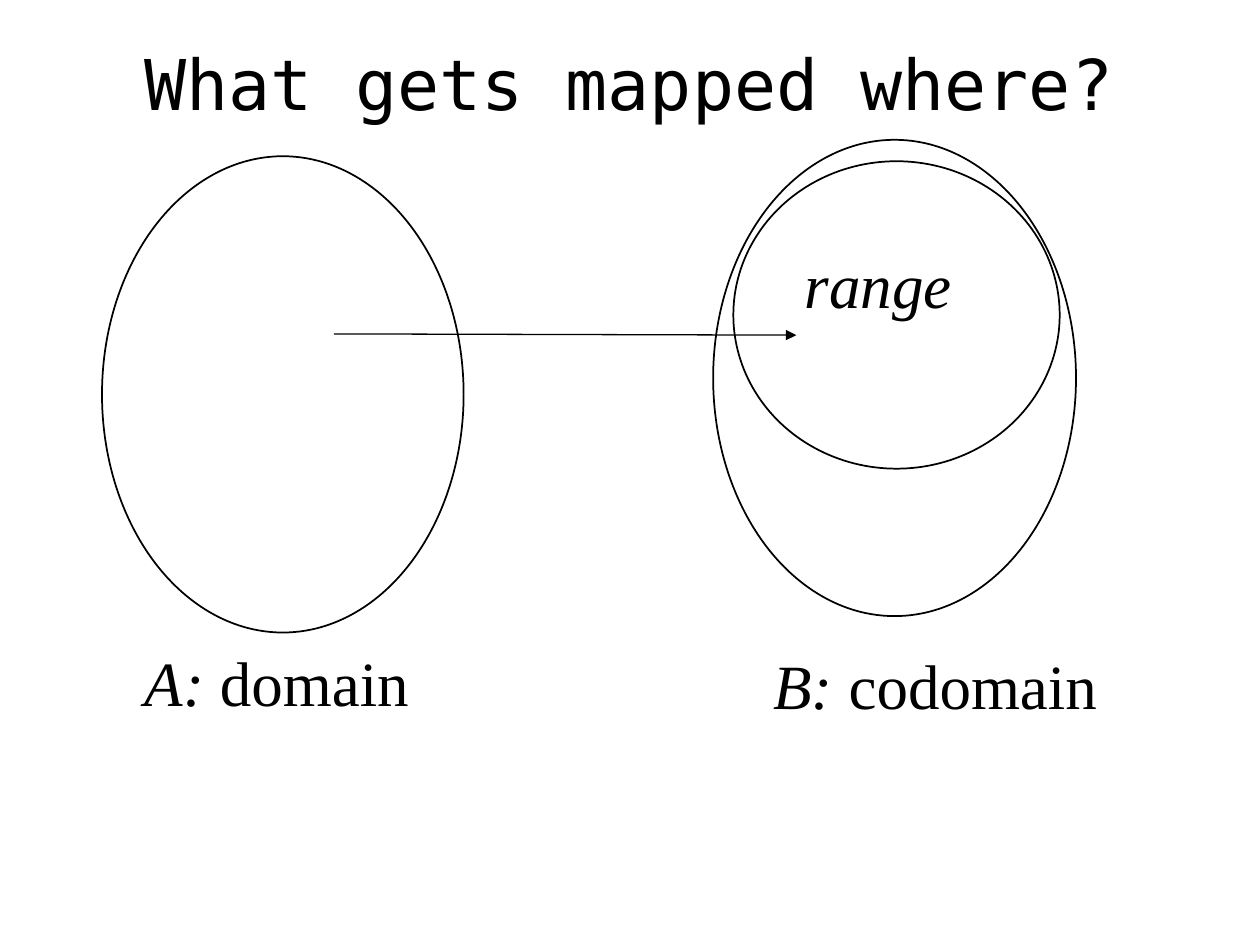
import pptx
import pptx.dml.color
import pptx.enum.shapes
import pptx.enum.text
import pptx.oxml
import pptx.oxml.ns
import pptx.util
from pptx.util import Inches

BLACK = pptx.dml.color.RGBColor(0x00, 0x00, 0x00)
TITLE_FONT = "DejaVu Sans Mono"
LABEL_FONT = "Times New Roman"


def add_run(paragraph, text, font_name, size, italic=False):
    run = paragraph.add_run()
    run.text = text
    run.font.name = font_name
    run.font.size = pptx.util.Pt(size)
    run.font.italic = italic
    run.font.color.rgb = BLACK


def set_title(slide, text):
    title = slide.shapes.title
    title.left, title.top = Inches(0.74), Inches(0.18)
    title.width, title.height = Inches(8.5), Inches(0.95)
    title.text_frame.vertical_anchor = pptx.enum.text.MSO_ANCHOR.MIDDLE
    paragraph = title.text_frame.paragraphs[0]
    paragraph.alignment = pptx.enum.text.PP_ALIGN.CENTER
    add_run(paragraph, text, TITLE_FONT, 40)


def add_set(slide, left, top, width, height):
    ellipse = slide.shapes.add_shape(
        pptx.enum.shapes.MSO_SHAPE.OVAL,
        Inches(left), Inches(top), Inches(width), Inches(height),
    )
    ellipse.shadow.inherit = False
    ellipse.fill.background()
    ellipse.line.color.rgb = BLACK
    ellipse.line.width = pptx.util.Pt(1)


def add_mapping_arrow(slide, start_x, start_y, end_x, end_y):
    arrow = slide.shapes.add_connector(
        pptx.enum.shapes.MSO_CONNECTOR.STRAIGHT,
        Inches(start_x), Inches(start_y), Inches(end_x), Inches(end_y),
    )
    arrow.line.color.rgb = BLACK
    arrow.line.width = pptx.util.Pt(0.75)
    namespace = pptx.oxml.ns.nsdecls("a")
    arrow.line._get_or_add_ln().append(
        pptx.oxml.parse_xml(f'<a:tailEnd {namespace} type="triangle"/>')
    )
    arrow._element.spPr.append(pptx.oxml.parse_xml(f"<a:effectLst {namespace}/>"))


def add_label(slide, left, top, width, symbol, description=""):
    label = slide.shapes.add_textbox(
        Inches(left), Inches(top), Inches(width), Inches(0.71)
    )
    frame = label.text_frame
    frame.word_wrap = False
    frame.auto_size = pptx.enum.text.MSO_AUTO_SIZE.SHAPE_TO_FIT_TEXT
    paragraph = frame.paragraphs[0]
    namespace = pptx.oxml.ns.nsdecls("a")
    paragraph._p.get_or_add_pPr().append(
        pptx.oxml.parse_xml(
            f'<a:spcBef {namespace}><a:spcPct val="50000"/></a:spcBef>'
        )
    )
    add_run(paragraph, symbol, LABEL_FONT, 36, italic=True)
    if description:
        add_run(paragraph, description, LABEL_FONT, 36)


def main():
    presentation = pptx.Presentation()
    presentation.slide_width = Inches(10)
    presentation.slide_height = Inches(7.5)
    slide = presentation.slides.add_slide(presentation.slide_layouts[5])

    set_title(slide, "What gets mapped where?")
    add_set(slide, 0.81, 1.24, 2.87, 3.78)
    add_mapping_arrow(slide, 2.65, 2.65, 6.32, 2.66)
    add_label(slide, 1.05, 5.06, 2.49, "A:", " domain")
    add_set(slide, 5.66, 1.11, 2.88, 3.78)
    add_label(slide, 6.04, 5.08, 2.8, "B:", " codomain")
    add_set(slide, 5.82, 1.28, 2.59, 2.44)
    add_label(slide, 6.29, 1.9, 1.55, "range")

    presentation.save("out.pptx")


if __name__ == "__main__":
    main()
